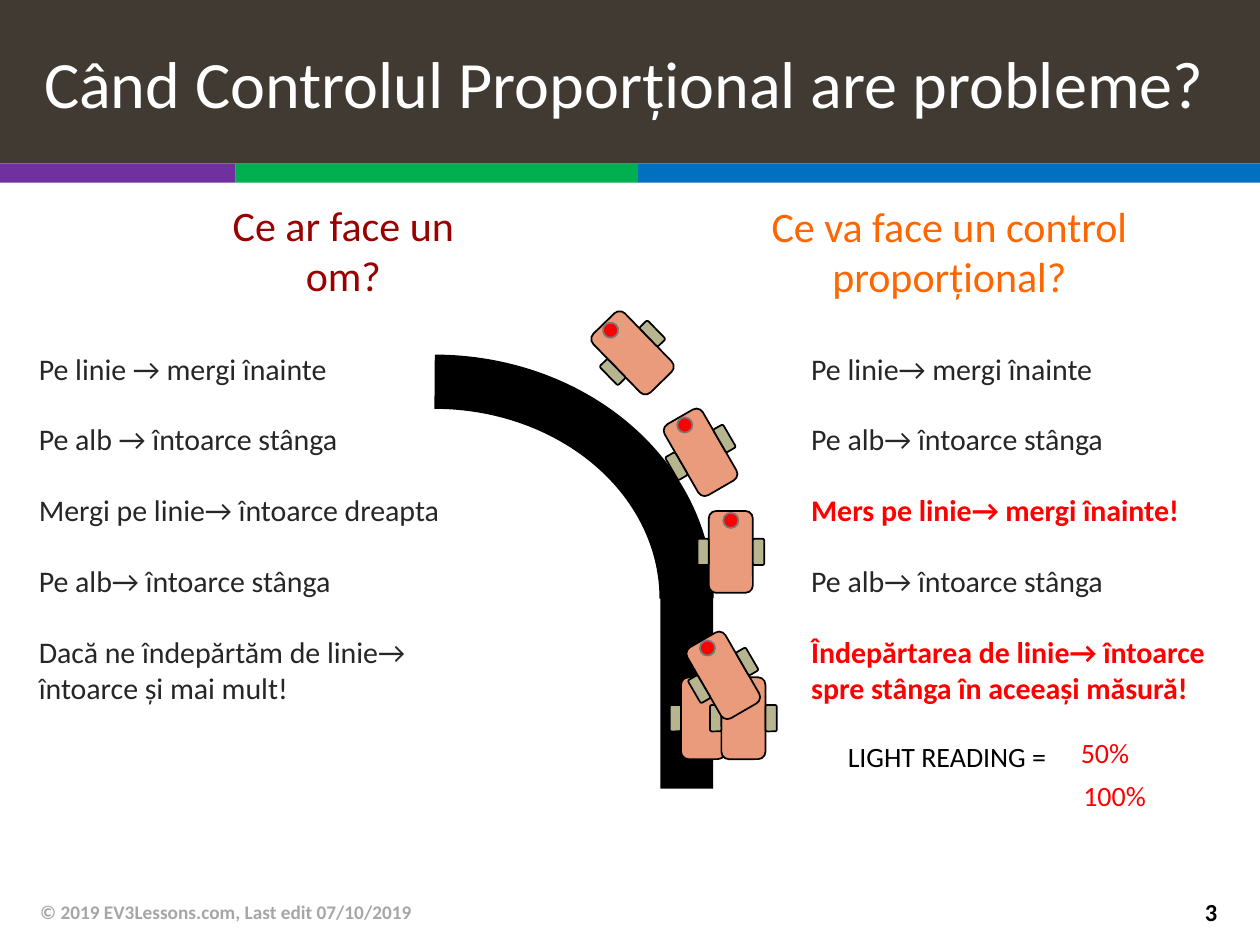
from math import cos, radians, sin

from pptx import Presentation
from pptx.dml.color import RGBColor
from pptx.enum.shapes import MSO_SHAPE as Shape
from pptx.enum.text import MSO_ANCHOR as Anchor, PP_ALIGN as Align
from pptx.util import Emu, Pt

PX = 9144
THEME = {
    "font": "Calibri",
    "title": 37.8, "heading": 24, "body": 17.1, "reading": 16, "page": 14, "footer": 11,
    "white": "FFFFFF", "black": "000000", "bar": "413A33",
    "purple": "7030A0", "green": "00B050", "blue": "0070C0",
    "maroon": "990000", "orange": "FF6600", "ink": "262626", "red": "FF0000",
    "muted": "A6A6A6", "chassis": "EA9B7C", "wheel": "B6B590", "rim": "777777",
}

TITLE = "Când Controlul Proporțional are probleme?"
STRIPES = [("purple", 0, 187), ("green", 187, 506), ("blue", 506, 1000)]
HEADINGS = [
    ("Ce ar face un om?", "maroon", (145, 156, 255, 87)),
    ("Ce va face un control proporțional?", "orange", (570, 148, 367, 96)),
]
HUMAN_STEPS = [
    ("Pe linie → mergi înainte", False),
    ("Pe alb → întoarce stânga", False),
    ("Mergi pe linie→ întoarce dreapta", False),
    ("Pe alb→ întoarce stânga", False),
    ("Dacă ne îndepărtăm de linie→ întoarce și mai mult!", False),
]
CONTROL_STEPS = [
    ("Pe linie→ mergi înainte", False),
    ("Pe alb→ întoarce stânga", False),
    ("Mers pe linie→ mergi înainte!", True),
    ("Pe alb→ întoarce stânga", False),
    ("Îndepărtarea de linie→ întoarce spre stânga în aceeași măsură!", True),
]
STEP_COLUMNS = [(HUMAN_STEPS, (21, 273, 359, 293)), (CONTROL_STEPS, (634, 273, 350, 293))]
READINGS = [
    ("LIGHT READING =", "black", (663, 582, 191, 37)),
    ("50%", "red", (848, 579, 173, 37)),
    ("100%", "red", (850, 613, 96, 37)),
]
FOOTER = "© 2019 EV3Lessons.com, Last edit 07/10/2019"
PAGE_NUMBER = "3"

BODY = (Shape.ROUNDED_RECTANGLE, 0, 0, 35, 65, "chassis", "black")
RIGHT_WHEEL = (Shape.ROUNDED_RECTANGLE, 22, 0, 9, 21, "wheel", "black")
LEFT_WHEEL = (Shape.ROUNDED_RECTANGLE, -22, 0, 9, 21, "wheel", "black")
SENSOR = (Shape.OVAL, 0, -25, 12, 12, "red", "rim")
FULL_ROBOT = [BODY, RIGHT_WHEEL, LEFT_WHEEL, SENSOR]
ROBOTS = [
    (558, 570, 0, [BODY, LEFT_WHEEL, SENSOR]),
    (590, 570, 0, FULL_ROBOT),
    (574, 536, -30, FULL_ROBOT),
    (580, 438, 0, FULL_ROBOT),
    (556, 359, -30, FULL_ROBOT),
    (502, 280, -44.2, FULL_ROBOT),
]


def color(name):
    return RGBColor.from_string(THEME[name])


def px(values):
    return [Emu(round(value * PX)) for value in values]


def add_block(slide, kind, box, fill, line=None, width=1):
    shape = slide.shapes.add_shape(kind, *px(box))
    shape.shadow.inherit = False
    if fill:
        shape.fill.solid()
        shape.fill.fore_color.rgb = color(fill)
    else:
        shape.fill.background()
    if line:
        shape.line.color.rgb = color(line)
        shape.line.width = Pt(width)
    else:
        shape.line.fill.background()
    return shape


def write(shape, lines, size, align=Align.LEFT, anchor=Anchor.TOP, gap=0):
    frame = shape.text_frame
    frame.word_wrap = True
    frame.vertical_anchor = anchor
    for index, (text, ink, bold) in enumerate(lines):
        paragraph = frame.add_paragraph() if index else frame.paragraphs[0]
        paragraph.text = text
        paragraph.alignment = align
        if index:
            paragraph.space_before = Pt(gap)
        font = paragraph.font
        font.name = THEME["font"]
        font.size = Pt(THEME[size])
        font.bold = bold
        font.color.rgb = color(ink)


def add_text(slide, box, lines, size, **layout):
    write(slide.shapes.add_textbox(*px(box)), lines, size, **layout)


def add_robot(slide, center_x, center_y, angle, parts):
    turn = radians(angle)
    for kind, dx, dy, width, height, fill, line in parts:
        x = center_x + dx * cos(turn) - dy * sin(turn)
        y = center_y + dx * sin(turn) + dy * cos(turn)
        box = (x - width / 2, y - height / 2, width, height)
        add_block(slide, kind, box, fill, line).rotation = angle


def main():
    presentation = Presentation()
    presentation.slide_width, presentation.slide_height = px((1000, 750))
    slide = presentation.slides.add_slide(presentation.slide_layouts[6])

    for fill, left, right in STRIPES:
        add_block(slide, Shape.RECTANGLE, (left, 130, right - left, 15), fill)
    title = add_block(slide, Shape.RECTANGLE, (0, 0, 1000, 130), "bar")
    title.text_frame.margin_left = Emu(35 * PX)
    write(title, [(TITLE, "white", False)], "title", anchor=Anchor.MIDDLE)

    for text, ink, box in HEADINGS:
        add_text(slide, box, [(text, ink, False)], "heading",
                 align=Align.CENTER, anchor=Anchor.BOTTOM)
    for steps, box in STEP_COLUMNS:
        lines = [(text, "red" if wrong else "ink", wrong) for text, wrong in steps]
        add_text(slide, box, lines, "body", gap=20)

    add_text(slide, (22, 704, 670, 40), [(FOOTER, "muted", True)], "footer",
             anchor=Anchor.MIDDLE)
    add_text(slide, (907, 704, 69, 39), [(PAGE_NUMBER, "black", True)], "page",
             align=Align.RIGHT, anchor=Anchor.MIDDLE)

    add_block(slide, Shape.RECTANGLE, (524, 465, 42, 161), "black")
    add_block(slide, Shape.ARC, (145, 303, 400, 344), None, "black", 31)
    for robot in ROBOTS:
        add_robot(slide, *robot)

    for text, ink, box in READINGS:
        add_text(slide, box, [(text, ink, False)], "reading")

    presentation.save("out.pptx")


if __name__ == "__main__":
    main()
